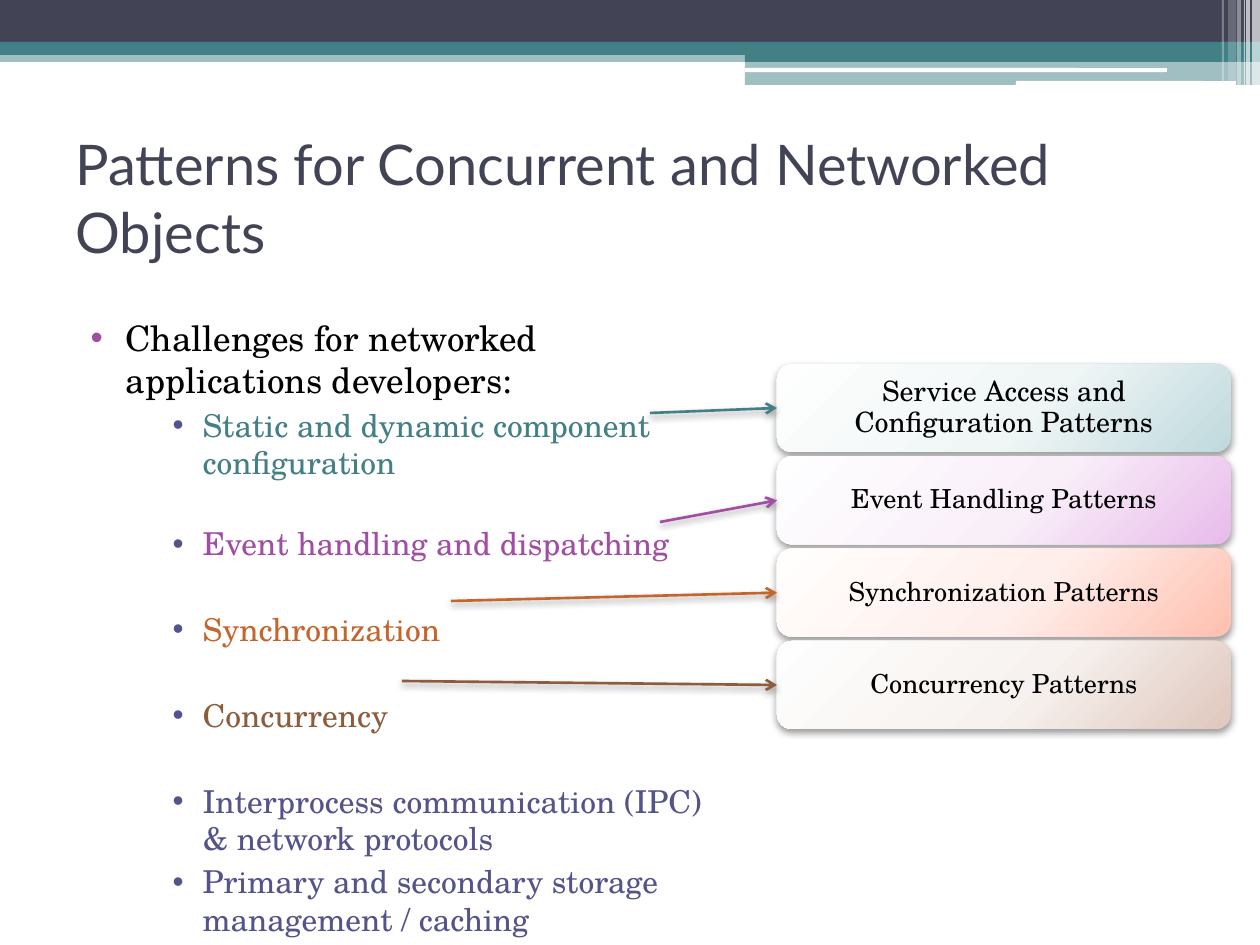
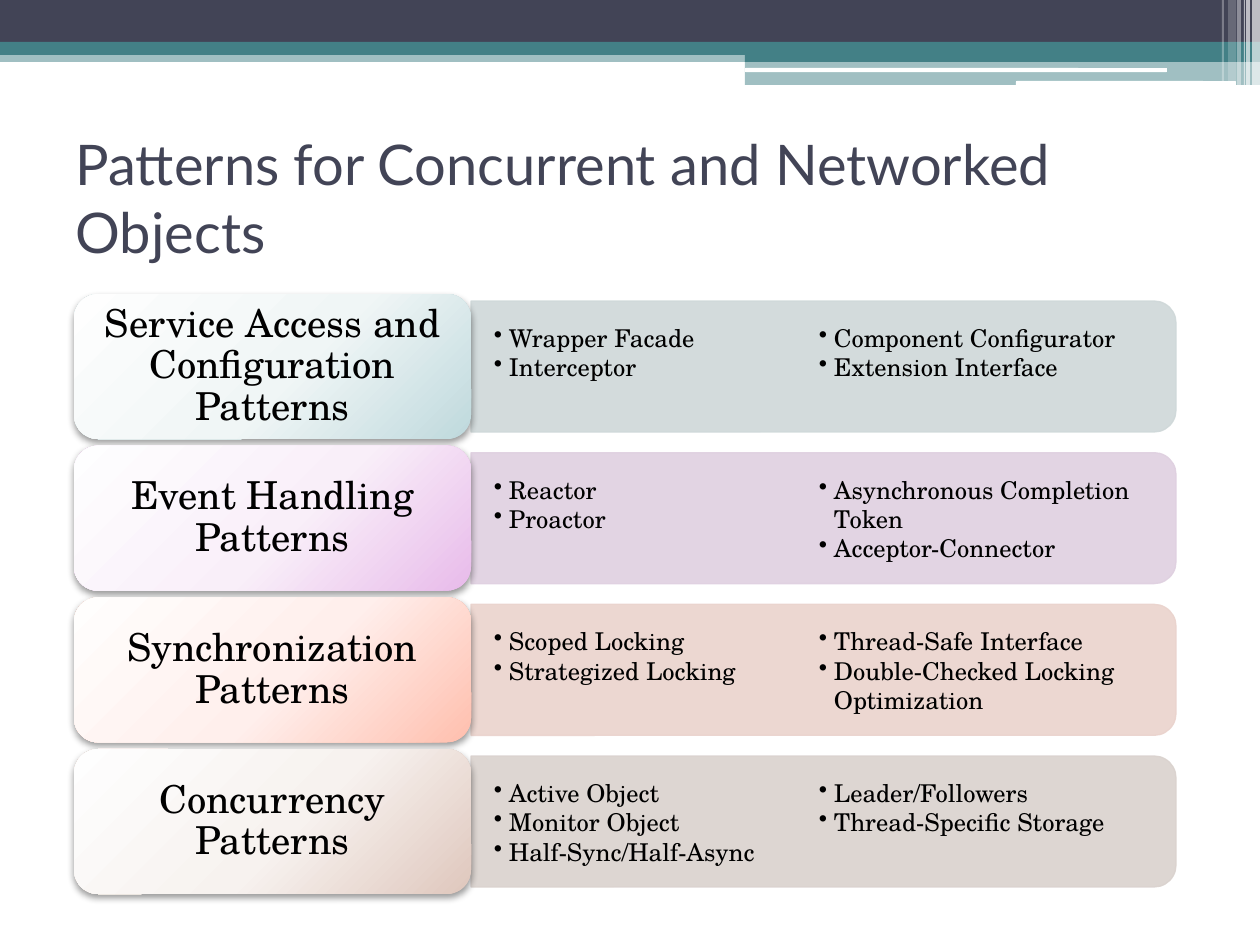
import collections

import pptx
import pptx.dml.color
import pptx.enum.dml
import pptx.enum.shapes
import pptx.enum.text
import pptx.oxml
import pptx.oxml.ns
import pptx.util

EMU_PER_PX = 914400 / 126
HEADING_FONT = "Lato"
BODY_FONT = "TeX Gyre Schola"
COLORS = {
    "dark": "424456",
    "teal": "438086",
    "purple": "A04DA3",
    "orange": "C4652D",
    "brown": "8B5D3D",
    "indigo": "53548A",
    "black": "000000",
    "white": "FFFFFF",
}
SHAPES = pptx.enum.shapes.MSO_SHAPE
ALIGN = pptx.enum.text.PP_ALIGN
ANCHOR = pptx.enum.text.MSO_ANCHOR

Box = collections.namedtuple("Box", "left top width height")
Family = collections.namedtuple("Family", "name accent gradient band columns")
Challenge = collections.namedtuple("Challenge", "text color gap")

TITLE = "Patterns for Concurrent and Networked Objects"
FAMILIES = [
    Family("Service Access and Configuration Patterns", "teal",
           ("FEFEFE", "F0F6F6", "BFD9DD"), "CFD8D9",
           (["Wrapper Facade", "Interceptor"],
            ["Component Configurator", "Extension Interface"])),
    Family("Event Handling Patterns", "purple",
           ("FEFEFF", "F9EFF9", "E8BBEA"), "DFD0E0",
           (["Reactor", "Proactor"],
            ["Asynchronous Completion Token", "Acceptor-Connector"])),
    Family("Synchronization Patterns", "orange",
           ("FFFEFD", "FFEFEC", "FFBFAE"), "EAD3CD",
           (["Scoped Locking", "Strategized Locking"],
            ["Thread-Safe Interface", "Double-Checked Locking Optimization"])),
    Family("Concurrency Patterns", "brown",
           ("FEFEFE", "F7F2EF", "DFC7BD"), "DAD2CE",
           (["Active Object", "Monitor Object", "Half-Sync/Half-Async"],
            ["Leader/Followers", "Thread-Specific Storage"])),
]
CHALLENGES = [
    Challenge("Static and dynamic component configuration", "teal", 3),
    Challenge("Event handling and dispatching", "purple", 24.6),
    Challenge("Synchronization", "orange", 27.4),
    Challenge("Concurrency", "brown", 27.4),
    Challenge("Interprocess communication (IPC) & network protocols", "indigo", 27.4),
    Challenge("Primary and secondary storage management / caching", "indigo", 3),
]


def px(length):
    return pptx.util.Emu(round(length * EMU_PER_PX))


def rgb(color):
    return pptx.dml.color.RGBColor.from_string(color)


def xml(text):
    tag_end = min(text.find(mark) for mark in (" ", "/", ">") if mark in text)
    return pptx.oxml.parse_xml(
        f"{text[:tag_end]} {pptx.oxml.ns.nsdecls('a')}{text[tag_end:]}")


def place(shape, box):
    shape.left, shape.top, shape.width, shape.height = map(px, box)


def set_margins(frame, horizontal, vertical):
    frame.margin_left = frame.margin_right = px(horizontal)
    frame.margin_top = frame.margin_bottom = px(vertical)


def add_span(para, text, size, color="black", font=BODY_FONT):
    span = para.add_run()
    span.text = text
    span.font.name = font
    span.font.size = pptx.util.Pt(size)
    span.font.color.rgb = rgb(COLORS[color])


def set_bullet(para, margin, hanging, color):
    properties = para._p.get_or_add_pPr()
    properties.set("marL", str(px(margin)))
    properties.set("indent", str(-px(hanging)))
    properties.append(xml(f'<a:buClr><a:srgbClr val="{COLORS[color]}"/></a:buClr>'))
    properties.append(xml('<a:buChar char="•"/>'))


def add_plain_shape(page, kind, box, color, opacity=100):
    shape = page.shapes.add_shape(kind, *map(px, box))
    shape.shadow.inherit = False
    shape.fill.solid()
    shape.fill.fore_color.rgb = rgb(color)
    shape.line.fill.background()
    set_opacity(shape, opacity)
    return shape


def set_opacity(shape, opacity):
    if opacity < 100:
        for color in shape.element.spPr.iter(pptx.oxml.ns.qn("a:srgbClr")):
            color.append(xml(f'<a:alpha val="{opacity * 1000}"/>'))


def shadow_xml():
    return xml('<a:outerShdw blurRad="52000" dist="25400" dir="5400000" rotWithShape="0">'
               '<a:srgbClr val="000000"><a:alpha val="40000"/></a:srgbClr></a:outerShdw>')


def add_header_to_master(deck, page, box):
    right = box.left + box.width
    half = right - 515
    strips = [
        (SHAPES.RECTANGLE, Box(0, 50, box.width, 12), "teal", 50),
        (SHAPES.RECTANGLE, Box(0, 0, box.width, 42), "dark", 100),
        (SHAPES.RECTANGLE, Box(0, 42, box.width, 13), "teal", 100),
        (SHAPES.RECTANGLE, Box(half, 49, 515, 13), "teal", 100),
        (SHAPES.RECTANGLE, Box(half, 61, 515, 24), "teal", 50),
        (SHAPES.ROUNDED_RECTANGLE, Box(half, 68, 422, 4), "white", 100),
        (SHAPES.ROUNDED_RECTANGLE, Box(right - 244, 81, 220, 5), "white", 100),
    ]
    stripes = [(8, 8, 85, 65), (14, 4, 85, 65), (16, 1, 85, 60),
               (23, 4, 85, 40), (32, 8, 81, 20), (38, 2, 81, 30)]
    strips += [(SHAPES.RECTANGLE, Box(right - inset, 0, width, height), "white", opacity)
               for inset, width, height, opacity in stripes]
    master_tree = deck.slide_master.shapes.element
    for number, (kind, strip, color, opacity) in enumerate(strips, start=100):
        shape = add_plain_shape(page, kind, strip, COLORS[color], opacity)
        shape.element.nvSpPr.cNvPr.set("id", str(number))
        master_tree.append(shape.element)


def add_title(page, box):
    title = page.shapes.title
    place(title, box)
    frame = title.text_frame
    frame.auto_size = pptx.enum.text.MSO_AUTO_SIZE.NONE
    frame.vertical_anchor = ANCHOR.MIDDLE
    frame.margin_bottom = px(73)
    para = frame.paragraphs[0]
    para.alignment = ALIGN.LEFT
    add_span(para, TITLE, 32, "dark", HEADING_FONT)


def add_challenges(page, box):
    body = page.placeholders[1]
    place(body, box)
    frame = body.text_frame
    frame.auto_size = pptx.enum.text.MSO_AUTO_SIZE.NONE
    heading = frame.paragraphs[0]
    heading.space_before = pptx.util.Pt(3)
    add_span(heading, "Challenges for networked applications developers:", 20)
    set_bullet(heading, 50, 35, "purple")
    for challenge in CHALLENGES:
        para = frame.add_paragraph()
        para.level = 1
        para.space_before = pptx.util.Pt(challenge.gap)
        add_span(para, challenge.text, 18, challenge.color)
        set_bullet(para, 127, 30, "indigo")


def add_card(page, family, box, size, margins):
    card = add_plain_shape(page, SHAPES.ROUNDED_RECTANGLE, box, family.gradient[0])
    stops = "".join(f'<a:gs pos="{position}"><a:srgbClr val="{color}"/></a:gs>'
                    for position, color in zip((0, 55000, 100000), family.gradient))
    properties = card.element.spPr
    properties.replace(
        properties.find(pptx.oxml.ns.qn("a:solidFill")),
        xml(f'<a:gradFill rotWithShape="1"><a:gsLst>{stops}</a:gsLst><a:path path="circle">'
            '<a:fillToRect l="-40000" t="-90000" r="140000" b="190000"/></a:path></a:gradFill>'))
    properties.find(pptx.oxml.ns.qn("a:effectLst")).append(shadow_xml())
    frame = card.text_frame
    frame.word_wrap = True
    frame.vertical_anchor = ANCHOR.MIDDLE
    set_margins(frame, *margins)
    para = frame.paragraphs[0]
    para.alignment = ALIGN.CENTER
    para.line_spacing = 0.9
    add_span(para, family.name, size)
    return card


def add_arrow(page, start, card, color):
    arrow = page.shapes.add_connector(
        pptx.enum.shapes.MSO_CONNECTOR.STRAIGHT, *map(px, start), card.left, card.top)
    arrow.end_connect(card, 1)
    arrow.line.color.rgb = rgb(COLORS[color])
    arrow.line.width = pptx.util.Pt(1.5)
    properties = arrow.element.spPr
    properties.find(pptx.oxml.ns.qn("a:ln")).append(xml('<a:tailEnd type="arrow"/>'))
    effects = xml("<a:effectLst/>")
    effects.append(shadow_xml())
    properties.append(effects)


def split_rows(box, count, height):
    pitch = (box.height - height) / (count - 1)
    return [Box(box.left, box.top + row * pitch, box.width, height) for row in range(count)]


def add_card_stack(page, box):
    sizes = (16, 15, 15, 15)
    return [add_card(page, family, row, size, (8, 4))
            for family, row, size in zip(FAMILIES, split_rows(box, 4, 88), sizes)]


def add_pattern_list(page, names, box):
    text_box = page.shapes.add_textbox(*map(px, box))
    frame = text_box.text_frame
    frame.word_wrap = True
    set_margins(frame, 0, 0)
    for index, name in enumerate(names):
        para = frame.paragraphs[0] if index == 0 else frame.add_paragraph()
        add_span(para, name, 14)
        set_bullet(para, 15, 15, "black")


def add_family_row(page, family, box):
    card_width = 397
    band = Box(box.left + card_width, box.top + 7, box.width - card_width, box.height - 14)
    middle_x = band.left + band.width / 2
    middle_y = band.top + band.height / 2
    upright = Box(middle_x - band.height / 2, middle_y - band.width / 2,
                  band.height, band.width)
    shape = add_plain_shape(page, SHAPES.ROUND_2_SAME_RECTANGLE, upright, family.band)
    shape.rotation = 90
    shape.line.color.rgb = rgb(family.band)
    shape.line.width = pptx.util.Pt(0.75)
    set_opacity(shape, 90)
    add_card(page, family, box._replace(width=card_width), 22, (11, 6))
    column_width = 325
    for column, names in enumerate(family.columns):
        left = band.left + 23 + column * column_width
        add_pattern_list(page, names, Box(left, box.top + 29, column_width, 89))


def build_challenges_page(page, title_box):
    add_title(page, title_box)
    add_challenges(page, Box(63, 310, 677, 624))
    cards = add_card_stack(page, Box(777, 364, 454, 365))
    starts = [(650, 413), (660, 522), (451, 601), (402, 681)]
    for start, card, family in zip(starts, cards, FAMILIES):
        add_arrow(page, start, card, family.accent)


def build_families_page(page, title_box):
    add_title(page, title_box)
    rows = split_rows(Box(74, 294, 1102, 600), len(FAMILIES), 145)
    for family, row in zip(FAMILIES, rows):
        add_family_row(page, family, row)


def main():
    deck = pptx.Presentation()
    deck.slide_width, deck.slide_height = px(1260), px(945)
    title_box = Box(63, 157, 1134, 147)
    challenges_page = deck.slides.add_slide(deck.slide_layouts[1])
    add_header_to_master(deck, challenges_page, Box(0, 0, 1260, 86))
    build_challenges_page(challenges_page, title_box)
    build_families_page(deck.slides.add_slide(deck.slide_layouts[5]), title_box)
    deck.save("out.pptx")


if __name__ == "__main__":
    main()
